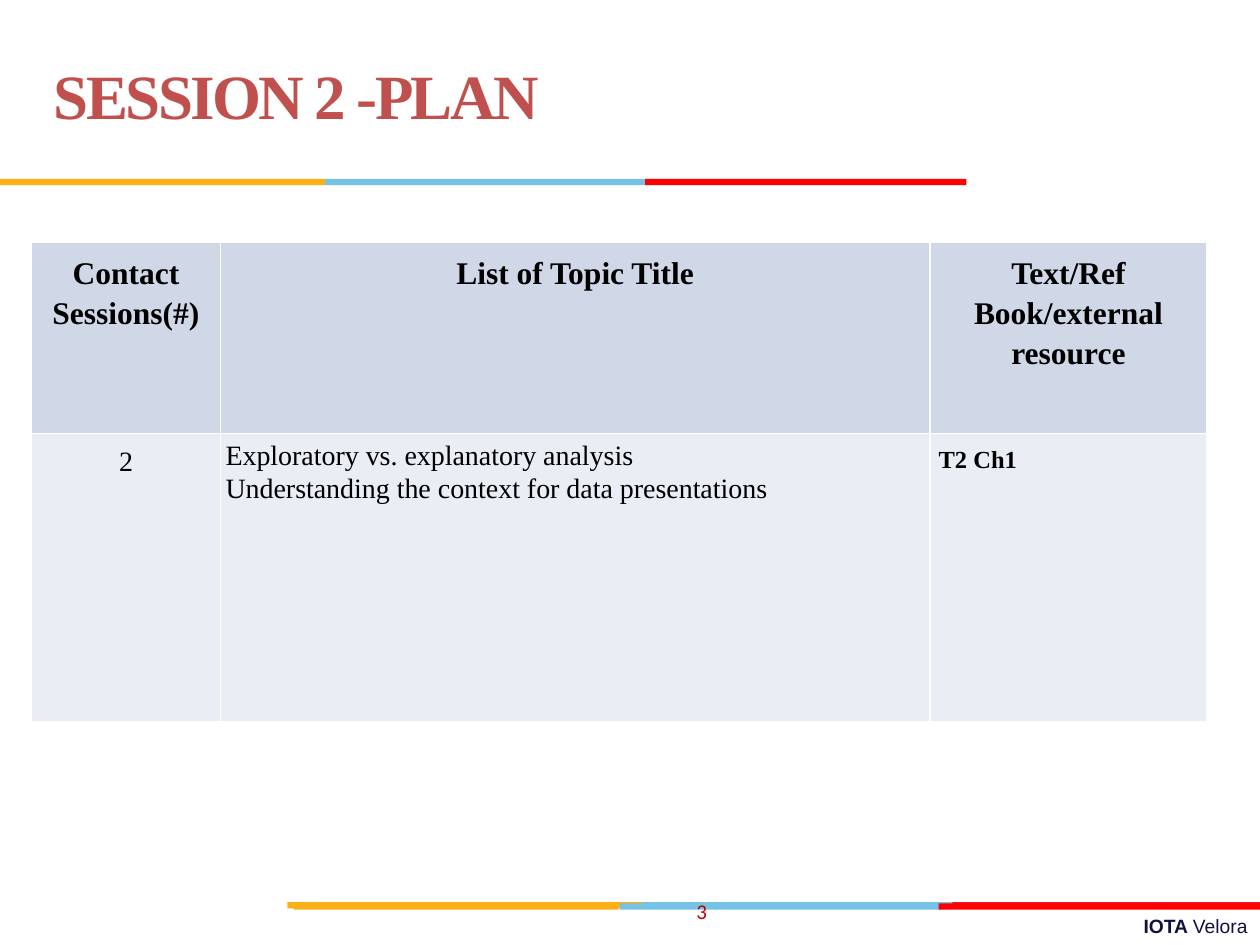
from lxml import etree
from pptx import Presentation
from pptx.dml.color import RGBColor
from pptx.enum.shapes import MSO_SHAPE
from pptx.enum.text import MSO_ANCHOR, PP_ALIGN
from pptx.oxml.ns import qn
from pptx.util import Inches, Pt

COLORS = {
    "gold": "FCB017", "sky": "76C2E5", "crimson": "E31C24", "red": "FF0000",
    "title": "C0504D", "number": "C00000", "navy": "101141", "black": "000000",
    "header": "D0D8E8", "body": "E9EDF4", "white": "FFFFFF",
}
SERIF = "Times New Roman"
BANDS = [
    (7.16, [("sky", 5.06, 2.55), ("crimson", 7.56, 2.44), ("gold", 2.28, 2.82)]),
    (7.17, [("sky", 4.92, 2.55), ("gold", 2.33, 2.58), ("red", 7.45, 2.55)]),
    (1.42, [("sky", 2.58, 2.55), ("gold", 0, 2.58), ("red", 5.12, 2.55)]),
]
BAND_HEIGHT = 0.05

HEADER = {"size": 18, "bold": True, "align": PP_ALIGN.CENTER, "spacing": 1.15}
SESSION = {"size": 16, "align": PP_ALIGN.CENTER, "spacing": 1.15, "after": 10}
TOPIC = {"size": 16, "spacing": 1.07, "inset": 0.04}
REFERENCE = {"size": 14, "bold": True, "spacing": 1.15, "after": 10}
TABLE_BOX = (0.25, 1.92, 9.33, 3.81)
COLUMN_WIDTHS = [1.5, 5.63, 2.2]
ROWS = [
    (1.52, "header", [
        (["Contact Sessions(#)"], HEADER),
        (["List of Topic Title"], HEADER),
        (["Text/Ref Book/external resource"], HEADER),
    ]),
    (2.29, "body", [
        (["2"], SESSION),
        (["Exploratory vs. explanatory analysis",
          "Understanding the context for data presentations"], TOPIC),
        (["T2 Ch1"], REFERENCE),
    ]),
]
TEXTS = [
    ((3.58, 7.21, 6.42, 0.29), [("IOTA ", True), ("Velora", False)],
     {"size": 11, "font": "Arial", "color": "navy", "align": PP_ALIGN.RIGHT,
      "anchor": MSO_ANCHOR.TOP}),
    ((0.33, 0.17, 6.92, 1.25), [("SESSION 2 -PLAN", True)],
     {"size": 36, "font": SERIF, "color": "title", "line": Pt(36), "tracking": -150}),
    ((3.38, 7.03, 2.33, 0.4), [("3", False)],
     {"size": 12, "font": "Calibri", "color": "number", "align": PP_ALIGN.RIGHT}),
]


def rgb(name):
    return RGBColor.from_string(COLORS[name])


def boxed(box):
    return [Inches(value) for value in box]


def add_run(paragraph, text, size, bold, font=SERIF, color="black"):
    run = paragraph.add_run()
    run.text = text
    formats = {"size": Pt(size), "bold": bold, "name": font}
    for attribute, value in formats.items():
        setattr(run.font, attribute, value)
    run.font.color.rgb = rgb(color)
    return run


def add_band(slide, top, color, left, width):
    shape = slide.shapes.add_shape(
        MSO_SHAPE.RECTANGLE, *boxed((left, top, width, BAND_HEIGHT)))
    shape.shadow.inherit = False
    shape.fill.solid()
    shape.fill.fore_color.rgb = rgb(color)
    shape.line.fill.background()


def add_text(slide, box, runs, style):
    frame = slide.shapes.add_textbox(*boxed(box)).text_frame
    frame.word_wrap = True
    frame.vertical_anchor = style.get("anchor", MSO_ANCHOR.MIDDLE)
    paragraph = frame.paragraphs[0]
    paragraph.alignment = style.get("align", PP_ALIGN.LEFT)
    paragraph.line_spacing = style.get("line")
    for text, bold in runs:
        run = add_run(paragraph, text, style["size"], bold, style["font"], style["color"])
        if "tracking" in style:
            run.font._element.set("spc", str(style["tracking"]))


def add_borders(cell):
    properties = cell._tc.get_or_add_tcPr()
    for position, side in enumerate(("lnL", "lnR", "lnT", "lnB")):
        line = etree.Element(qn(f"a:{side}"), w=str(Pt(1)))
        fill = etree.SubElement(line, qn("a:solidFill"))
        etree.SubElement(fill, qn("a:srgbClr"), val=COLORS["white"])
        properties.insert(position, line)


def fill_cell(cell, lines, style, color):
    cell.fill.solid()
    cell.fill.fore_color.rgb = rgb(color)
    for side in ("left", "right", "top", "bottom"):
        setattr(cell, f"margin_{side}", Inches(style.get("inset", 0.07)))
    for index, text in enumerate(lines):
        frame = cell.text_frame
        paragraph = frame.add_paragraph() if index else frame.paragraphs[0]
        formats = {
            "alignment": style.get("align", PP_ALIGN.LEFT),
            "line_spacing": style["spacing"],
            "space_after": Pt(style.get("after", 0)),
        }
        for attribute, value in formats.items():
            setattr(paragraph, attribute, value)
        add_run(paragraph, text, style["size"], style.get("bold", False))
    add_borders(cell)


def add_plan(slide):
    table = slide.shapes.add_table(
        len(ROWS), len(COLUMN_WIDTHS), *boxed(TABLE_BOX)).table
    for column, width in zip(table.columns, COLUMN_WIDTHS):
        column.width = Inches(width)
    for row, (height, color, cells) in zip(table.rows, ROWS):
        row.height = Inches(height)
        for cell, (lines, style) in zip(row.cells, cells):
            fill_cell(cell, lines, style, color)


def main():
    presentation = Presentation()
    presentation.slide_width = Inches(10)
    presentation.slide_height = Inches(7.5)
    slide = presentation.slides.add_slide(presentation.slide_layouts[6])
    footer, *overlays = TEXTS
    add_text(slide, *footer)
    for top, segments in BANDS:
        for segment in segments:
            add_band(slide, top, *segment)
    add_plan(slide)
    for overlay in overlays:
        add_text(slide, *overlay)
    presentation.save("out.pptx")


if __name__ == "__main__":
    main()
